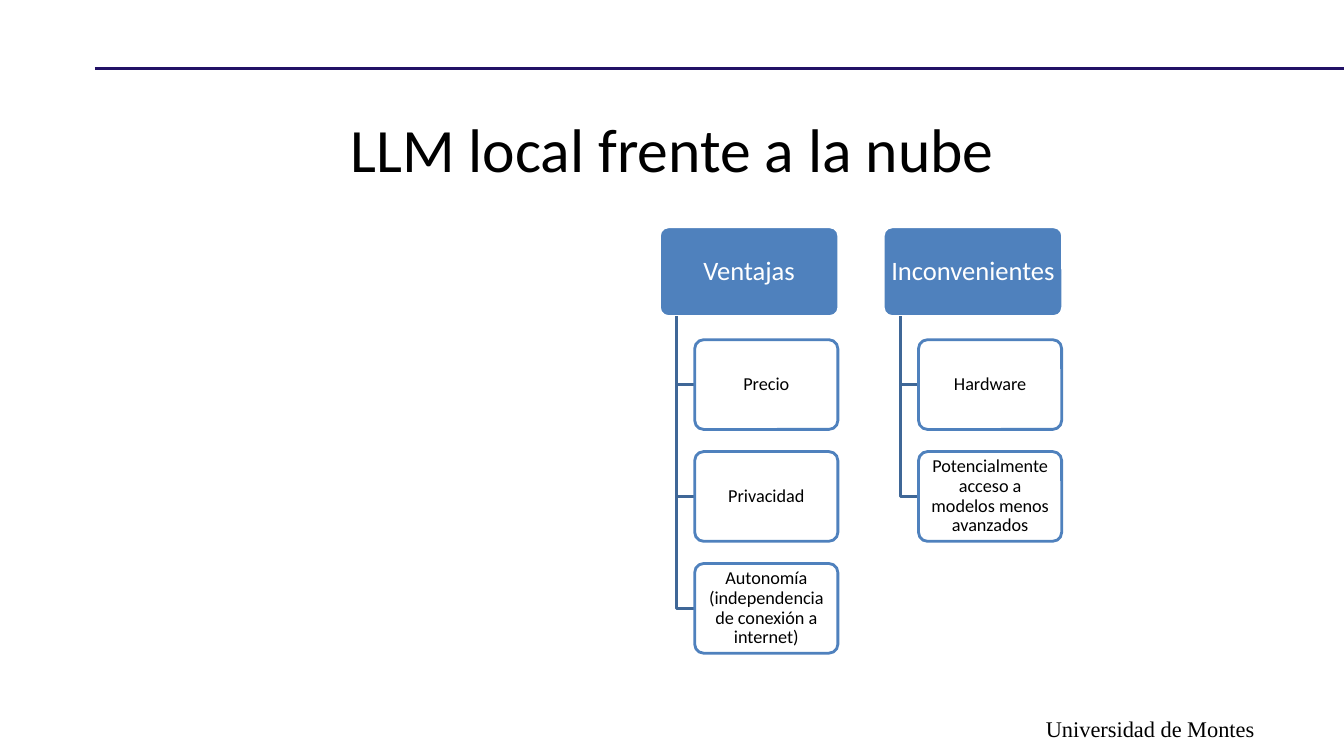
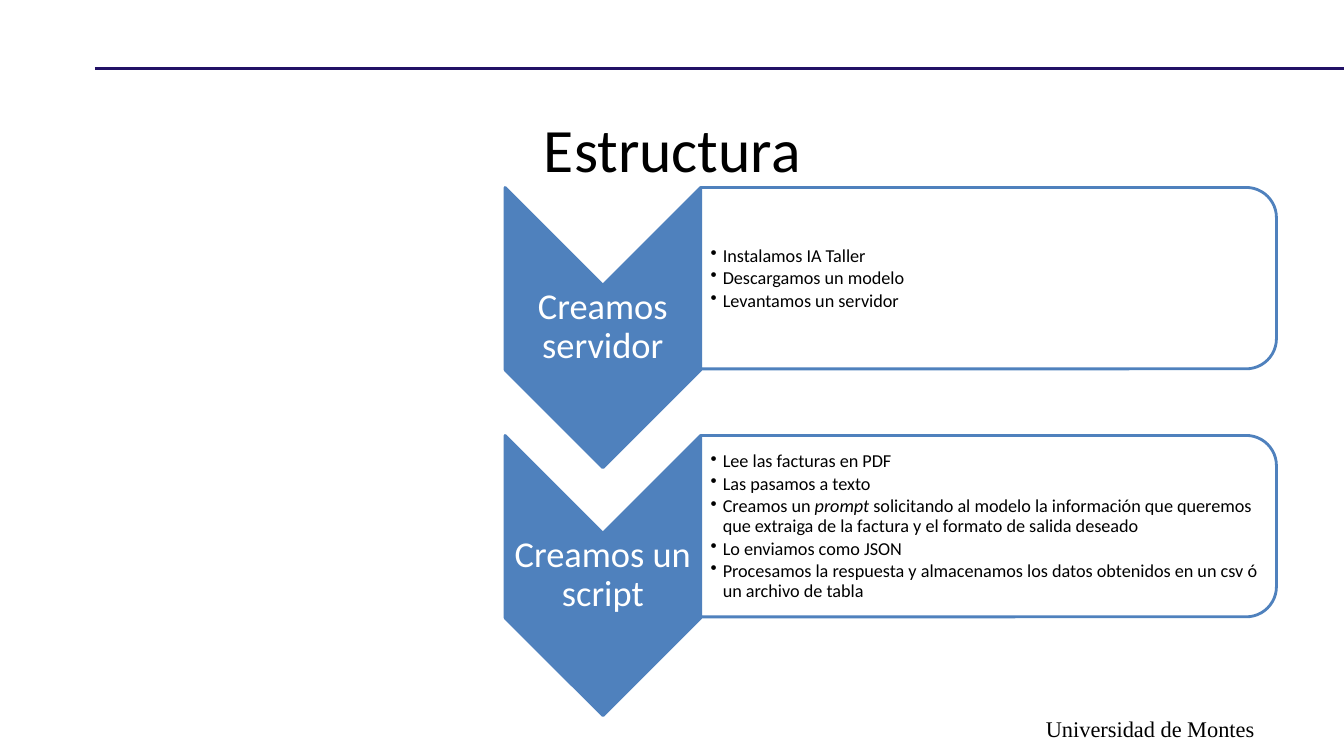
from lxml.etree import SubElement
from pptx import Presentation
from pptx.dml.color import RGBColor
from pptx.enum.shapes import MSO_CONNECTOR, MSO_SHAPE
from pptx.enum.text import MSO_ANCHOR, PP_ALIGN
from pptx.oxml.ns import qn
from pptx.util import Inches, Pt


def rgb(value):
    return RGBColor.from_string(value)


class Deck:
    FONT, FOOTER_FONT = "Calibri", "Times New Roman"
    BLACK, WHITE = "000000", "FFFFFF"
    BLUE, BRANCH, RULE = "4F81BD", "3F6797", "221166"
    LINE = 2

    def __init__(self):
        self.prs = Presentation()
        self.prs.slide_width = Inches(13.33)
        self.prs.slide_height = Inches(7.5)
        self.s = None

    def slide(self, title):
        self.s = self.prs.slides.add_slide(self.prs.slide_layouts[6])
        self.text(9.34, 7.05, 3.2, 0.37, "Universidad de Montes", 16,
                  font=self.FOOTER_FONT, align=PP_ALIGN.RIGHT,
                  anchor=MSO_ANCHOR.TOP, insets=(0.1, 0.05), spacing=1)
        self.rule(0.94, 0.68, 13.33)
        self.text(0.67, 0.84, 12, 1.25, title, 44, insets=(0.1, 0.05), spacing=1)

    def rule(self, x1, y, x2):
        c = self.s.shapes.add_connector(
            MSO_CONNECTOR.STRAIGHT, Inches(x1), Inches(y), Inches(x2), Inches(y))
        self.outline(c, self.RULE)
        SubElement(c._element.spPr, qn("a:effectLst"))

    def outline(self, sp, color):
        sp.line.color.rgb = rgb(color)
        sp.line.width = Pt(self.LINE)

    def shape(self, kind, x, y, w, h, fill, line, rotation=0):
        sp = self.s.shapes.add_shape(kind, Inches(x), Inches(y), Inches(w), Inches(h))
        sp.shadow.inherit = False
        sp.rotation = rotation
        sp.fill.solid()
        sp.fill.fore_color.rgb = rgb(fill)
        self.outline(sp, line)
        return sp

    def turned(self, kind, x, y, w, h, fill):
        return self.shape(kind, x + (w - h) / 2, y + (h - w) / 2, h, w,
                          fill, self.BLUE, rotation=90)

    def frame(self, sp, insets, anchor=MSO_ANCHOR.MIDDLE):
        tf = sp.text_frame
        tf.word_wrap = True
        tf.vertical_anchor = anchor
        tf.margin_left = tf.margin_right = Inches(insets[0])
        tf.margin_top = tf.margin_bottom = Inches(insets[1])
        return tf

    def run(self, p, text, size, color=BLACK, font=FONT, italic=False):
        r = p.add_run()
        r.text = text
        r.font.size = Pt(size)
        r.font.name = font
        r.font.color.rgb = rgb(color)
        r.font.italic = italic

    def label(self, sp, text, size, color=BLACK, font=FONT, align=PP_ALIGN.CENTER,
              anchor=MSO_ANCHOR.MIDDLE, insets=(0.02, 0.02), spacing=0.9):
        p = self.frame(sp, insets, anchor).paragraphs[0]
        p.alignment = align
        p.line_spacing = spacing
        self.run(p, text, size, color, font)

    def text(self, x, y, w, h, text, size, **style):
        sp = self.s.shapes.add_textbox(Inches(x), Inches(y), Inches(w), Inches(h))
        self.label(sp, text, size, **style)

    def box(self, x, y, w, h, text, size, fill, line, color):
        sp = self.shape(MSO_SHAPE.ROUNDED_RECTANGLE, x, y, w, h, fill, line)
        sp.adjustments[0] = 0.1
        self.label(sp, text, size, color, insets=(0.05, 0.04))

    def branch(self, x, y, corner_y, end_x):
        fb = self.s.shapes.build_freeform(Inches(x), Inches(y))
        fb.add_line_segments([(Inches(x), Inches(corner_y)),
                              (Inches(end_x), Inches(corner_y))], close=False)
        sp = fb.convert_to_shape()
        sp.shadow.inherit = False
        sp.fill.background()
        self.outline(sp, self.BRANCH)

    def tree(self, x, y, heading, items):
        w, h, pitch = 1.78, 0.89, 1.11
        card_x = x + 0.35
        self.box(x, y, w, h, heading, 19, self.BLUE, self.WHITE, self.WHITE)
        for i, item in enumerate(items, 1):
            card_y = y + i * pitch + 0.01
            self.branch(x + 0.17, y + h, card_y + h / 2, card_x)
            self.box(card_x, card_y, 1.42, h, item, 13,
                     self.WHITE, self.BLUE, self.BLACK)

    def bullets(self, x, y, w, h, items):
        sp = self.s.shapes.add_textbox(Inches(x), Inches(y), Inches(w), Inches(h))
        tf = self.frame(sp, (0.01, 0.01))
        tf.margin_left = Inches(0.1)
        for i, runs in enumerate(items):
            p = tf.add_paragraph() if i else tf.paragraphs[0]
            p.line_spacing = 0.9
            p.space_after = Pt(2)
            pPr = p._p.get_or_add_pPr()
            pPr.set("marL", str(Inches(0.12)))
            pPr.set("indent", str(-Inches(0.12)))
            SubElement(pPr, qn("a:buChar")).set("char", "•")
            for j, text in enumerate(runs):
                self.run(p, text, 13, italic=j % 2 == 1)

    def step(self, y, heading, items):
        x, w = 5.01, 1.94
        self.turned(MSO_SHAPE.CHEVRON, x, y, w, 2.78, self.BLUE)
        self.text(x, y + 0.97, w, 0.83, heading, 26, color=self.WHITE)
        self.turned(MSO_SHAPE.ROUND_2_SAME_RECTANGLE, x + w, y, 5.71, 1.8, self.WHITE)
        self.bullets(x + w, y + 0.09, 5.62, 1.63, items)


def main():
    deck = Deck()

    deck.slide("LLM local frente a la nube")
    columns = [
        ("Ventajas", ["Precio", "Privacidad",
                      "Autonomía (independencia de conexión a internet)"]),
        ("Inconvenientes", ["Hardware",
                            "Potencialmente acceso a modelos menos avanzados"]),
    ]
    for i, (heading, items) in enumerate(columns):
        deck.tree(6.54 + i * 2.22, 2.25, heading, items)

    deck.slide("Estructura")
    steps = [
        ("Creamos servidor", [
            ["Instalamos IA Taller"],
            ["Descargamos un modelo"],
            ["Levantamos un servidor"],
        ]),
        ("Creamos un script", [
            ["Lee las facturas en PDF"],
            ["Las pasamos a texto"],
            ["Creamos un ", "prompt",
             " solicitando al modelo la información que queremos que extraiga "
             "de la factura y el formato de salida deseado"],
            ["Lo enviamos como JSON"],
            ["Procesamos la respuesta y almacenamos los datos obtenidos "
             "en un csv ó un archivo de tabla"],
        ]),
    ]
    for i, (heading, items) in enumerate(steps):
        deck.step(1.86 + i * 2.46, heading, items)

    deck.prs.save("out.pptx")


if __name__ == "__main__":
    main()
